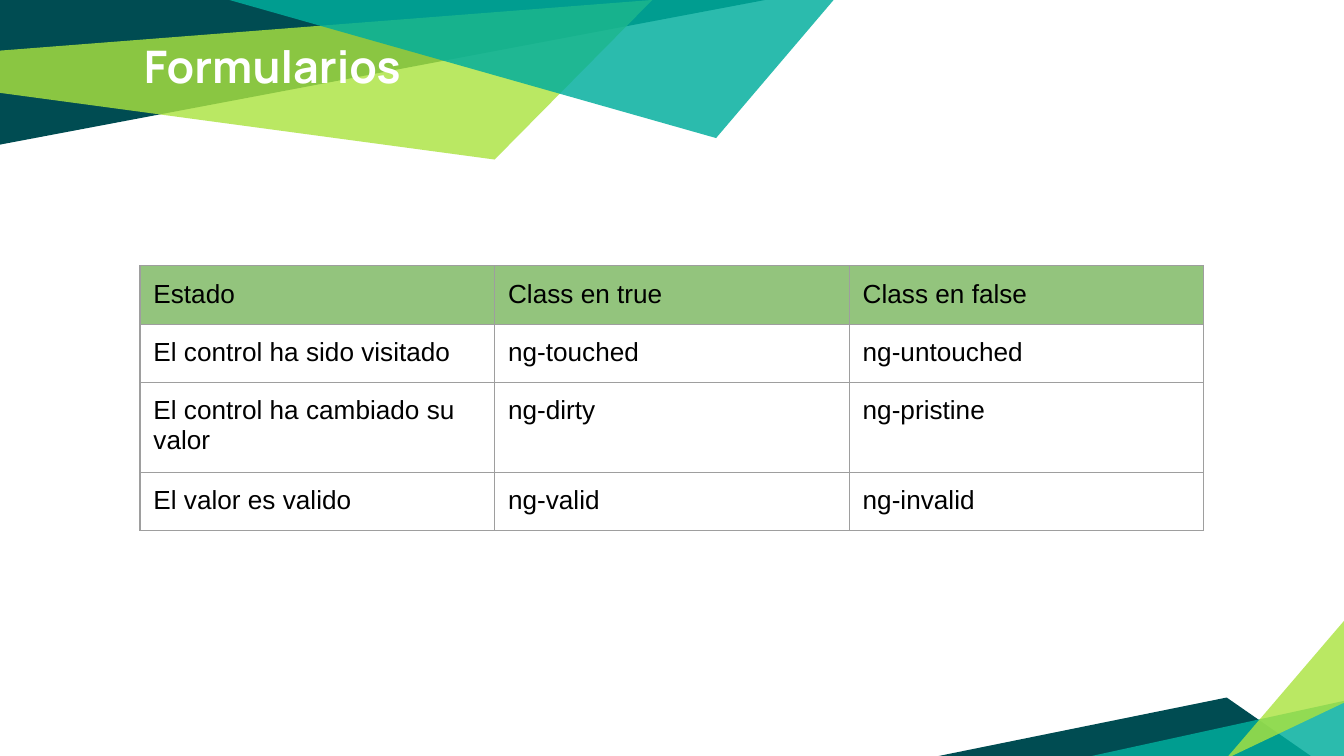
from lxml import etree
from pptx import Presentation
from pptx.dml.color import RGBColor
from pptx.enum.text import MSO_ANCHOR
from pptx.oxml import parse_xml
from pptx.oxml.ns import qn
from pptx.util import Pt

DRAWING_NS = "http://schemas.openxmlformats.org/drawingml/2006/main"
DARK, LIME, TEAL = "004C52", "ABE33F", "00AE9D"
MARGIN = Pt(7.2)


def color(hex_code):
    return RGBColor.from_string(hex_code)


def style_text(frame, font, size, hex_code, bold=False):
    """Apply the 0.1 inch margins and one font to the first paragraph."""
    frame.word_wrap = True
    for side in ("left", "right", "top", "bottom"):
        setattr(frame, f"margin_{side}", MARGIN)
    format_values = {"name": font, "size": Pt(size), "bold": bold}
    run_font = frame.paragraphs[0].runs[0].font
    for attribute, value in format_values.items():
        setattr(run_font, attribute, value)
    run_font.color.rgb = color(hex_code)


prs = Presentation()
prs.slide_width, prs.slide_height = Pt(720), Pt(405)
slide = prs.slides.add_slide(prs.slide_layouts[6])

# Corner facets, back to front: color, opacity in percent, corners in points
facets = [
    (DARK, 100, [(0, 0), (0, 77.5), (410, 0)]),
    (LIME, 81, [(-0.5, 27.2), (0, 49.8), (265, 85.5), (349.5, 0)]),
    (DARK, 100, [(502, 405.2), (702.5, 405.2), (657.2, 373.7)]),
    (TEAL, 83, [(721.4, 375.2), (721.4, 406.5), (578.2, 406.5)]),
    (LIME, 81, [(721.4, 375.8), (721.4, 331), (656.8, 406.5)]),
    (TEAL, 83, [(122.7, 0), (383.6, 74), (447, -0.5), (438.5, 0)]),
]
for fill, opacity, corners in facets:
    points = [(Pt(x), Pt(y)) for x, y in corners]
    builder = slide.shapes.build_freeform(*points[0])
    builder.add_line_segments(points[1:], close=True)
    facet = builder.convert_to_shape()
    facet.shadow.inherit = False
    facet.line.fill.background()
    facet.fill.solid()
    facet.fill.fore_color.rgb = color(fill)
    if opacity < 100:
        fill_color = facet.fill._xPr.find(qn("a:solidFill"))[0]
        etree.SubElement(fill_color, qn("a:alpha"), val=str(opacity * 1000))

title = slide.shapes.add_textbox(Pt(70), Pt(13.7), Pt(580), Pt(67.7)).text_frame
title.text = "Formularios"
title.vertical_anchor = MSO_ANCHOR.TOP
style_text(title, "Manrope", 24, "FFFFFF", bold=True)

states = [
    ("Estado", "Class en true", "Class en false"),
    ("El control ha sido visitado", "ng-touched", "ng-untouched"),
    ("El control ha cambiado su valor", "ng-dirty", "ng-pristine"),
    ("El valor es valido", "ng-valid", "ng-invalid"),
]
column_width, row_height = 190, 30.2
state_table = slide.shapes.add_table(
    len(states), 3, Pt(75), Pt(142.4),
    Pt(3 * column_width), Pt(len(states) * row_height),
).table
state_table.first_row = state_table.horz_banding = False
for column in state_table.columns:
    column.width = Pt(column_width)

for row_index, state in enumerate(states):
    state_table.rows[row_index].height = Pt(row_height)
    for column_index, wording in enumerate(state):
        cell = state_table.cell(row_index, column_index)
        cell.text = wording
        style_text(cell.text_frame, "Arial", 14, "000000")
        for side in ("left", "right", "top", "bottom"):
            setattr(cell, f"margin_{side}", MARGIN)
        if row_index == 0:
            cell.fill.solid()
            cell.fill.fore_color.rgb = color("93C47D")
        else:
            cell.fill.background()
        cell_properties = cell._tc.get_or_add_tcPr()
        for position, edge in enumerate(("lnL", "lnR", "lnT", "lnB")):
            cell_properties.insert(position, parse_xml(
                f'<a:{edge} xmlns:a="{DRAWING_NS}" w="{Pt(0.75)}"><a:solidFill>'
                f'<a:srgbClr val="9E9E9E"/></a:solidFill></a:{edge}>'
            ))

prs.save("out.pptx")
